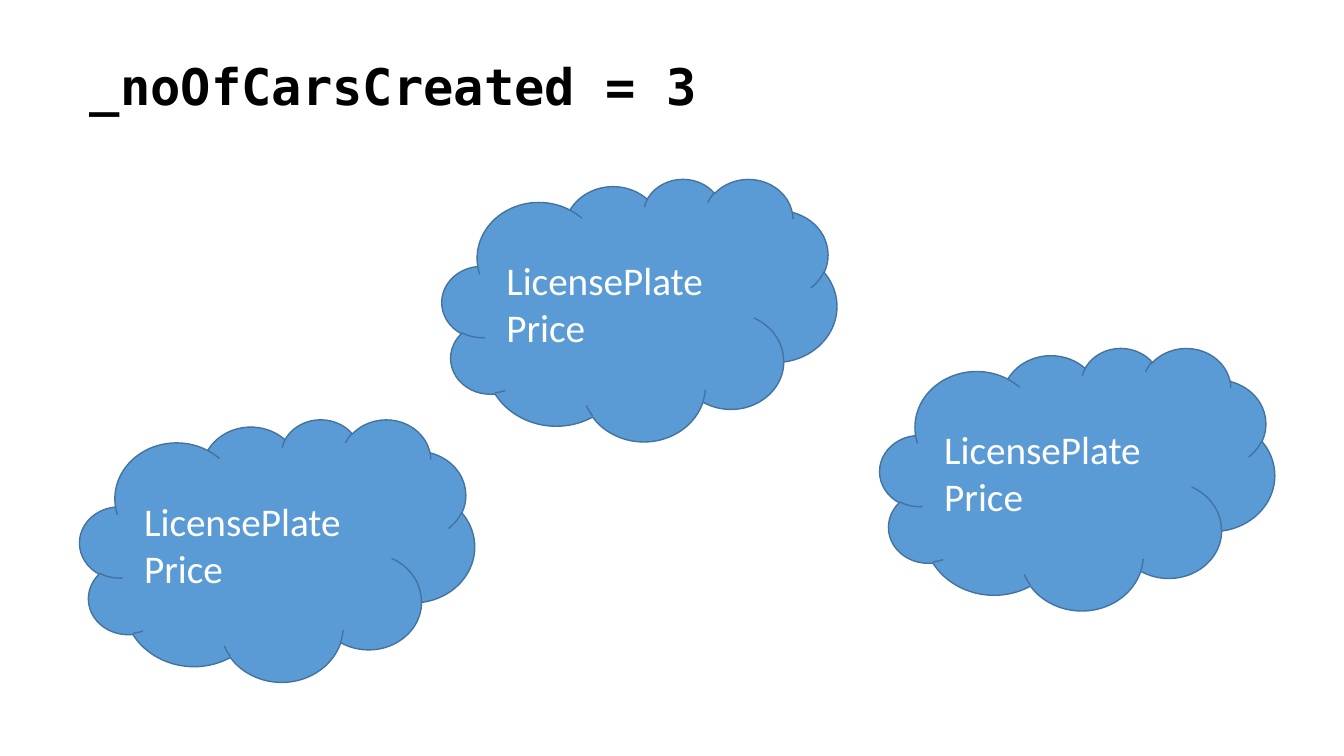
from pptx import Presentation
from pptx import util as u
from pptx.dml.color import RGBColor
from pptx.enum import shapes, text

PX = 9525
CLOUD_SIZE = (376, 250)
CLOUD_CORNERS = [(421, 170), (838, 331), (76, 399)]
CAR_FIELDS = "LicensePlate\nPrice"


def px(*lengths):
    """Turn pixel lengths into EMU."""
    return [u.Emu(length * PX) for length in lengths]


def color(hex_code):
    """Turn a hex string into a colour."""
    return RGBColor.from_string(hex_code)


def write(frame, words, font, size, ink, bold=False):
    """Fill a text frame with left-aligned, uniformly formatted text."""
    frame.text = words
    frame.word_wrap = True
    for paragraph in frame.paragraphs:
        paragraph.alignment = text.PP_ALIGN.LEFT
        for run in paragraph.runs:
            run.font.name = font
            run.font.size = u.Pt(size)
            run.font.bold = bold
            run.font.color.rgb = color(ink)


def add_counter(slide, words):
    """Add the heading that shows the car counter."""
    counter = slide.shapes.add_textbox(*px(76, 48, 637, 68))
    write(counter.text_frame, words, "DejaVu Sans Mono", 36, "000000", bold=True)


def add_car(slide, left, top):
    """Add one car object as a cloud listing its fields."""
    car = slide.shapes.add_shape(
        shapes.MSO_SHAPE.CLOUD, *px(left, top, *CLOUD_SIZE))
    car.shadow.inherit = False
    car.fill.solid()
    car.fill.fore_color.rgb = color("5B9BD5")
    car.line.color.rgb = color("43739E")
    car.line.width = u.Pt(1)
    car.text_frame.vertical_anchor = text.MSO_ANCHOR.MIDDLE
    write(car.text_frame, CAR_FIELDS, "Calibri", 28, "FFFFFF")


def main():
    """Build the slide and save it."""
    deck = Presentation()
    deck.slide_width, deck.slide_height = px(1280, 720)
    slide = deck.slides.add_slide(deck.slide_layouts[6])
    add_counter(slide, "_noOfCarsCreated = 3")
    for left, top in CLOUD_CORNERS:
        add_car(slide, left, top)
    deck.save("out.pptx")


if __name__ == "__main__":
    main()
